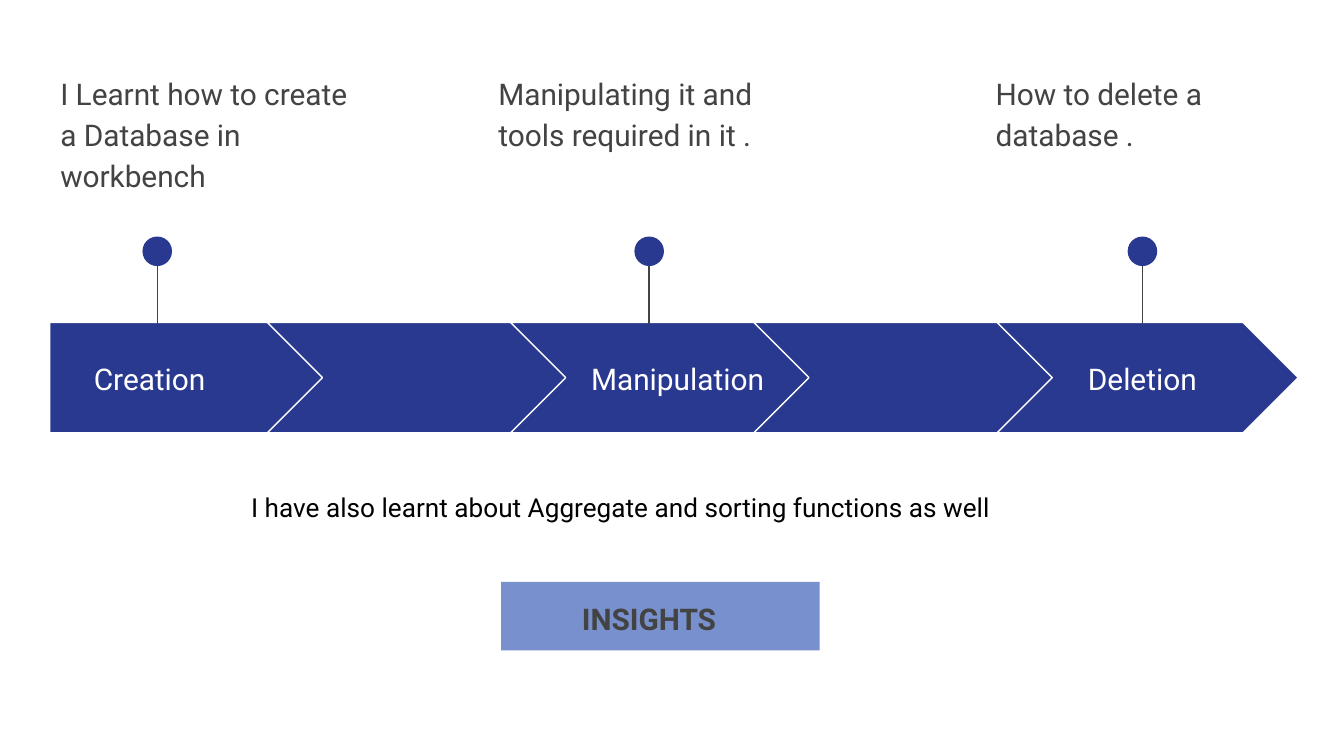
from pptx import Presentation
from pptx.dml.color import RGBColor
from pptx.enum.shapes import MSO_CONNECTOR as Conn, MSO_SHAPE as Kind
from pptx.enum.text import MSO_ANCHOR as Anchor, PP_ALIGN as Align
from pptx.oxml.ns import qn
from pptx.util import Inches, Pt

NAVY, BLUE, GRAY, WHITE = "2A3990", "7890CD", "434343", "FFFFFF"
WIDTH = 10
HEIGHT = WIDTH * 9 / 16
STEP = 1.81  # distance between arrow starts


def paint(color, hue):
    color.rgb = RGBColor.from_string(hue)


def add_text(frame, text, size=16, hue=GRAY, bold=False, align=Align.LEFT,
             anchor=Anchor.TOP, space=1.0, after=0, left=0.1):
    frame.word_wrap = True
    frame.vertical_anchor = anchor
    frame.margin_left = Inches(left)
    frame.margin_right = frame.margin_top = frame.margin_bottom = Inches(0.1)
    para = frame.paragraphs[0]
    para.alignment = align
    para.line_spacing = space
    para.space_after = Pt(after)
    run = para.add_run()
    run.text = text
    run.font.name = "Roboto"
    run.font.size = Pt(size)
    run.font.bold = bold
    paint(run.font.color, hue)


def add_box(slide, x, y, w, h, text, **form):
    box = slide.shapes.add_textbox(*map(Inches, (x, y, w, h)))
    add_text(box.text_frame, text, **form)


def add_form(slide, kind, x, y, w, h, fill, line=None):
    form = slide.shapes.add_shape(kind, *map(Inches, (x, y, w, h)))
    form.shadow.inherit = False
    form.fill.solid()
    paint(form.fill.fore_color, fill)
    if line:
        paint(form.line.color, line)
        form.line.width = Pt(0.75)
    else:
        form.line.fill.background()
    return form


def add_band(slide, x, y, w, h):
    """Row of a pentagon and four chevrons."""
    add_form(slide, Kind.PENTAGON, x, y, 2.05, h, NAVY, WHITE)
    wide = 2.24
    for i in range(4):
        left = x + w - wide - (3 - i) * STEP
        add_form(slide, Kind.CHEVRON, left, y, wide, h, NAVY, WHITE)


def add_pin(slide, x, y, h):
    """Dot on a stem, centred on x."""
    size = 0.22
    stem = slide.shapes.add_connector(
        Conn.STRAIGHT, *map(Inches, (x, y + 0.04, x, y + h)))
    paint(stem.line.color, GRAY)
    stem.line.width = Pt(0.75)
    props = stem._element.spPr
    props.append(props.makeelement(qn("a:effectLst"), {}))
    add_form(slide, Kind.OVAL, x - size / 2, y, size, size, NAVY)


def add_stage(slide, pin, note, note_x, name, name_x, name_w, align):
    """Note above, pin, and name on the band."""
    add_box(slide, note_x, 0.42, 2.45, 0.99, note, space=1.15, after=16)
    add_pin(slide, pin, 1.76, 0.65)
    add_box(slide, name_x, 2.56, name_w, 0.51, name, hue=WHITE,
            align=align, anchor=Anchor.MIDDLE)


def add_footer(slide, x, y):
    """Closing remark and the heading bar below it."""
    add_box(slide, x, y, 6.3, 0.44,
            "I have also learnt about Aggregate and sorting functions as well",
            size=14, hue="000000")
    bar = add_form(slide, Kind.RECTANGLE, x + 1.96, y + 0.77, 2.37, 0.51, BLUE)
    add_text(bar.text_frame, "INSIGHTS", bold=True, space=1.15, after=16,
             left=0.6)


def main():
    deck = Presentation()
    deck.slide_width, deck.slide_height = Inches(WIDTH), Inches(HEIGHT)
    slide = deck.slides.add_slide(deck.slide_layouts[6])

    add_band(slide, 0.37, 2.4, 9.29, 0.82)
    stages = [
        (1.17, "I Learnt how to create a Database in workbench", 0.35,
         "Creation", 0.6, 1.59, Align.LEFT),
        (4.83, "Manipulating it and tools required in it .", 3.61,
         "Manipulation", 4.3, 1.59, Align.LEFT),
        (8.5, "How to delete a database .", 7.31,
         "Deletion", 7.78, 1.44, Align.CENTER),
    ]
    for stage in stages:
        add_stage(slide, *stage)
    add_footer(slide, 1.77, 3.56)
    deck.save("out.pptx")


if __name__ == "__main__":
    main()
